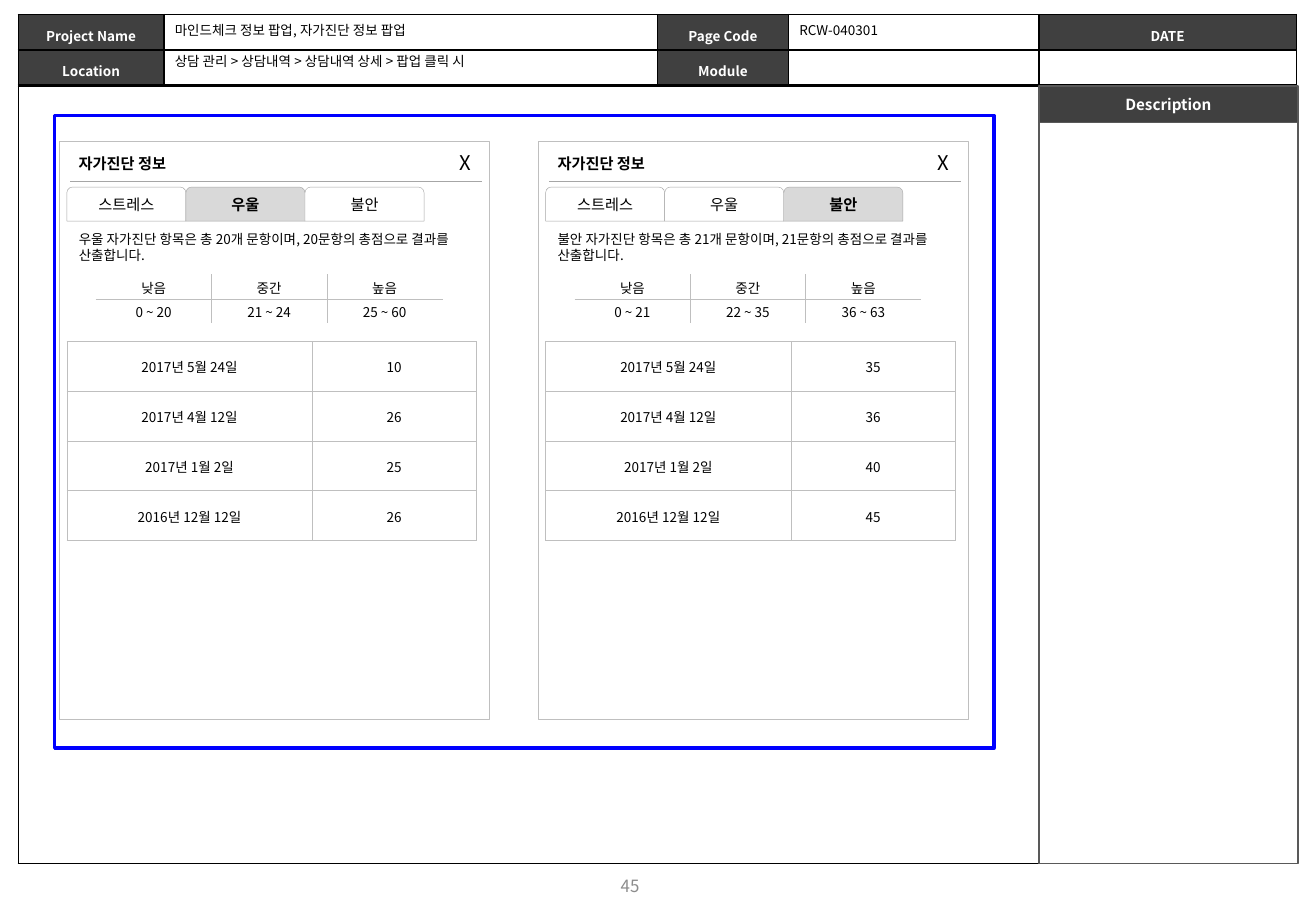
from lxml import etree
from pptx import Presentation
from pptx.dml.color import RGBColor
from pptx.enum import shapes, text
from pptx.oxml import ns
from pptx.util import Inches, Pt

FONT = "Noto Sans CJK KR"
BLACK = RGBColor(0x00, 0x00, 0x00)
WHITE = RGBColor(0xFF, 0xFF, 0xFF)
DARK = RGBColor(0x40, 0x40, 0x40)
DARK_LINE = RGBColor(0x59, 0x59, 0x59)
MID_GRAY = RGBColor(0xA6, 0xA6, 0xA6)
LIGHT_LINE = RGBColor(0xBF, 0xBF, 0xBF)
TAB_ON = RGBColor(0xD9, 0xD9, 0xD9)
PAGE_GRAY = RGBColor(0x8C, 0x8C, 0x8C)
BLUE = RGBColor(0x00, 0x00, 0xFF)

CENTER = text.PP_ALIGN.CENTER
MIDDLE = text.MSO_ANCHOR.MIDDLE
RECTANGLE = shapes.MSO_SHAPE.RECTANGLE
TAB_SHAPE = shapes.MSO_SHAPE.ROUND_2_SAME_RECTANGLE
HAIRLINE = 0.25
CELL_INSETS = (0.01, 0.01, 0.01, 0)

DATES = ["2017년 5월 24일", "2017년 4월 12일", "2017년 1월 2일", "2016년 12월 12일"]
LEVELS = ["낮음", "중간", "높음"]
TABS = ["스트레스", "우울", "불안"]
PANELS = [
    (0.49, "우울", 20, ["0 ~ 20", "21 ~ 24", "25 ~ 60"], [10, 26, 25, 26]),
    (4.43, "불안", 21, ["0 ~ 21", "22 ~ 35", "36 ~ 63"], [35, 36, 40, 45]),
]


def write_text(frame, content, size=8, color=BLACK, bold=False, align=None, spacing=None):
    paragraph = frame.paragraphs[0]
    paragraph.alignment = align
    paragraph.line_spacing = spacing
    if not content:
        end = etree.SubElement(paragraph._p, ns.qn("a:endParaRPr"))
        end.set("sz", str(size * 100))
        return
    run = paragraph.add_run()
    run.text = content
    run.font.size = Pt(size)
    run.font.bold = bold
    run.font.name = FONT
    run.font.color.rgb = color
    east_asian = etree.SubElement(run._r.rPr, ns.qn("a:ea"))
    east_asian.set("typeface", FONT)


def add_label(slide, left, top, width, height, content, wrap=False, anchor=None, **style):
    box = slide.shapes.add_textbox(Inches(left), Inches(top), Inches(width), Inches(height))
    frame = box.text_frame
    frame.word_wrap = wrap
    frame.vertical_anchor = anchor
    write_text(frame, content, **style)


def add_box(slide, left, top, width, height, fill, line, weight,
            kind=RECTANGLE, content="", wrap=True, **style):
    shape = slide.shapes.add_shape(
        kind, Inches(left), Inches(top), Inches(width), Inches(height))
    shape.shadow.inherit = False
    if fill is None:
        shape.fill.background()
    else:
        shape.fill.solid()
        shape.fill.fore_color.rgb = fill
    shape.line.color.rgb = line
    shape.line.width = Pt(weight)
    if content:
        shape.text_frame.word_wrap = wrap
        shape.text_frame.vertical_anchor = MIDDLE
        write_text(shape.text_frame, content, align=CENTER, **style)


def add_rule(slide, left, right, y):
    rule = slide.shapes.add_connector(
        shapes.MSO_CONNECTOR.STRAIGHT, Inches(left), Inches(y), Inches(right), Inches(y))
    rule.line.color.rgb = MID_GRAY
    rule.line.width = Pt(HAIRLINE)
    etree.SubElement(rule._element.spPr, ns.qn("a:effectLst"))


def set_borders(cell, colors, weight):
    properties = cell._tc.get_or_add_tcPr()
    for index, (side, color) in enumerate(zip("LRTB", colors)):
        line = etree.Element(ns.qn(f"a:ln{side}"), w=str(Pt(weight)))
        fill = etree.SubElement(line, ns.qn("a:solidFill"))
        etree.SubElement(fill, ns.qn("a:srgbClr"), val=str(color))
        properties.insert(index, line)


def add_grid(slide, left, top, columns, rows, values, line, weight,
             fill=WHITE, insets=CELL_INSETS, anchor=MIDDLE, outline=None, **style):
    table = slide.shapes.add_table(
        len(rows), len(columns), Inches(left), Inches(top),
        Inches(sum(columns)), Inches(sum(rows))).table
    table.first_row = False
    table.horz_banding = False
    for column, width in zip(table.columns, columns):
        column.width = Inches(width)
    for row, height in zip(table.rows, rows):
        row.height = Inches(height)
    outer = outline or line
    for r, row_values in enumerate(values):
        for c, value in enumerate(row_values):
            cell = table.cell(r, c)
            if value and fill is not None:
                cell.fill.solid()
                cell.fill.fore_color.rgb = fill
            else:
                cell.fill.background()
            cell.vertical_anchor = anchor
            (cell.margin_left, cell.margin_top,
             cell.margin_right, cell.margin_bottom) = map(Inches, insets)
            at_edges = (c == 0, c == len(columns) - 1, r == 0, r == len(rows) - 1)
            set_borders(cell, [outer if edge else line for edge in at_edges], weight)
            write_text(cell.text_frame, value, align=CENTER, **style)


def add_page_frame(slide):
    add_grid(slide, 0.15, 0.71, [10.51], [6.4], [[""]], BLACK, 1)
    add_grid(slide, 0.15, 0.12, [1.2, 4.06, 1.08, 2.06, 2.12], [0.29, 0.29],
             [["Project Name", "", "Page Code", "", "DATE"],
              ["Location", "", "Module", "", ""]],
             BLACK, 1, fill=DARK, insets=(0.04,) * 4, anchor=None,
             color=WHITE, bold=True, spacing=1.3)
    add_box(slide, 8.55, 1, 2.13, 6.11, WHITE, DARK_LINE, 1)
    add_box(slide, 8.55, 0.71, 2.13, 0.3, DARK, DARK_LINE, 1,
            content="Description", size=9, color=WHITE, bold=True)
    add_label(slide, 1.34, 0.13, 2.34, 0.24, "마인드체크 정보 팝업, 자가진단 정보 팝업")
    add_label(slide, 1.34, 0.39, 2.97, 0.24, "상담 관리 > 상담내역 > 상담내역 상세 > 팝업 클릭 시")
    add_label(slide, 6.48, 0.13, 0.86, 0.24, "RCW-040301")
    add_label(slide, 3.92, 7.09, 2.53, 0.4, "45", wrap=True, anchor=MIDDLE,
              size=10, color=PAGE_GRAY, align=CENTER)


def add_panel(slide, left, topic, count, ranges, scores):
    inner = left + 0.06
    add_box(slide, left, 1.16, 3.54, 4.76, WHITE, LIGHT_LINE, HAIRLINE)
    add_label(slide, inner, 1.22, 1, 0.25, "자가진단 정보", size=9, bold=True)
    add_label(slide, left + 3.19, 1.19, 0.3, 0.3, "X", size=12)
    add_rule(slide, left + 0.09, left + 3.48, 1.49)
    for index, tab in enumerate(TABS):
        active = tab == topic
        add_box(slide, inner + index * 0.98, 1.54, 0.98, 0.28,
                TAB_ON if active else WHITE, MID_GRAY, HAIRLINE, kind=TAB_SHAPE,
                content=tab, wrap=False, size=9, bold=active)
    add_label(slide, inner, 1.85, 3.39, 0.37,
              f"{topic} 자가진단 항목은 총 {count}개 문항이며, "
              f"{count}문항의 총점으로 결과를 산출합니다.", wrap=True)
    add_grid(slide, left + 0.3, 2.26, [0.95] * 3, [0.2] * 2, [LEVELS, ranges],
             LIGHT_LINE, HAIRLINE, outline=WHITE)
    add_grid(slide, inner, 2.81, [2.02, 1.35], [0.41] * 4,
             [[date, str(score)] for date, score in zip(DATES, scores)],
             LIGHT_LINE, HAIRLINE)


def main():
    presentation = Presentation()
    presentation.slide_width = Inches(10.83)
    presentation.slide_height = Inches(7.5)
    slide = presentation.slides.add_slide(presentation.slide_layouts[6])
    add_page_frame(slide)
    for panel in PANELS:
        add_panel(slide, *panel)
    add_box(slide, 0.45, 0.95, 7.73, 5.21, None, BLUE, 2)
    presentation.save("out.pptx")


if __name__ == "__main__":
    main()
